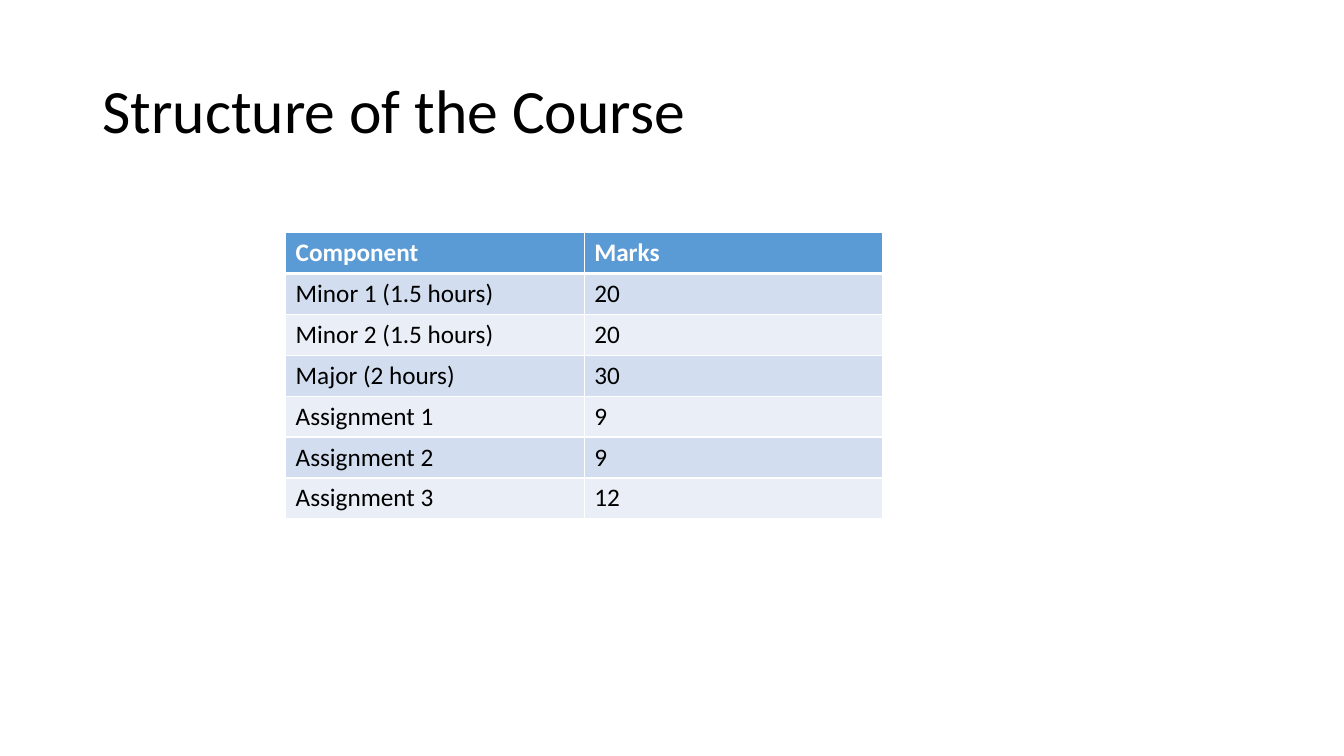
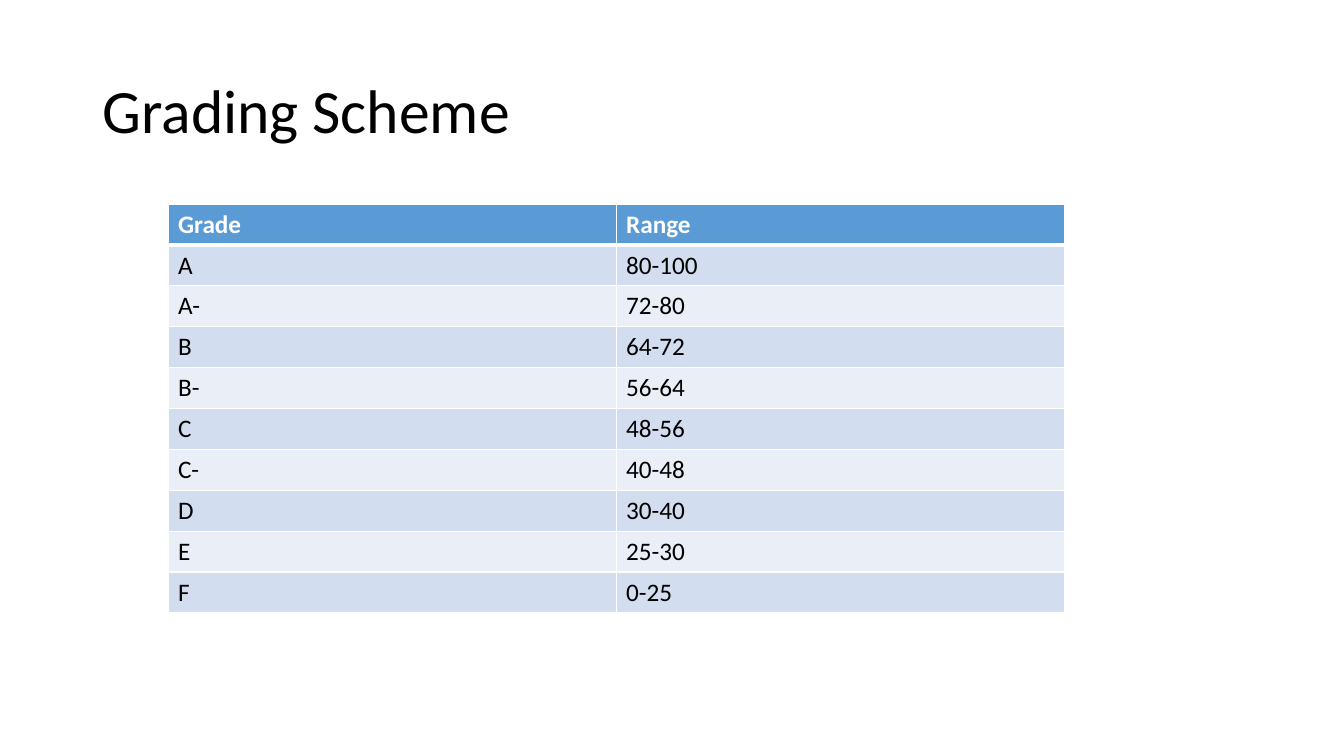
from lxml import etree
from pptx import Presentation
from pptx.dml.color import RGBColor
from pptx.enum.text import MSO_ANCHOR, MSO_AUTO_SIZE, PP_ALIGN
from pptx.oxml.ns import qn
from pptx.util import Inches, Pt

LEFT = PP_ALIGN.LEFT
MIDDLE, TOP = MSO_ANCHOR.MIDDLE, MSO_ANCHOR.TOP
NO_FIT = MSO_AUTO_SIZE.NONE
TITLE_ONLY = 5


def rgb(value):
    return RGBColor.from_string(value)


class Deck:
    """Shared style and the current slide, on a 16 x 9 grid."""
    COLS, ROWS = 16, 9
    FONT = "Calibri"
    TEXT, WHITE, HEADER = "000000", "FFFFFF", "5B9BD5"
    BANDS = ("D2DEEF", "EAEFF7")
    TITLE_BOX = (1.1, 0.48, 13.8, 1.74)
    ROW_HEIGHT = Pt(29.2)

    def __init__(self):
        self.prs = Presentation()
        self.prs.slide_width = Inches(13.33)
        self.prs.slide_height = Inches(7.5)
        self.s = None

    def x(self, cols):
        return int(self.prs.slide_width * cols / self.COLS)

    def y(self, rows):
        return int(self.prs.slide_height * rows / self.ROWS)

    def run(self, p, text, size, color, bold=False):
        r = p.add_run()
        r.text = text
        r.font.name = self.FONT
        r.font.size = Pt(size)
        r.font.bold = bold
        r.font.color.rgb = rgb(color)

    def slide(self, title):
        self.s = self.prs.slides.add_slide(self.prs.slide_layouts[TITLE_ONLY])
        sp = self.s.shapes.title
        left, top, width, height = self.TITLE_BOX
        sp.left, sp.top = self.x(left), self.y(top)
        sp.width, sp.height = self.x(width), self.y(height)
        tf = sp.text_frame
        tf.word_wrap = True
        tf.auto_size = NO_FIT
        tf.vertical_anchor = MIDDLE
        p = tf.paragraphs[0]
        p.alignment = LEFT
        p.line_spacing = 0.9
        self.run(p, title, 44, self.TEXT)

    def borders(self, cell, top, bottom):
        # Border lines come before the fill in the cell properties
        tc_pr = cell._tc.get_or_add_tcPr()
        sides = (("a:lnL", 1), ("a:lnR", 1), ("a:lnT", top), ("a:lnB", bottom))
        for i, (tag, points) in enumerate(sides):
            ln = etree.Element(qn(tag), w=str(Pt(points)))
            fill = etree.SubElement(ln, qn("a:solidFill"))
            etree.SubElement(fill, qn("a:srgbClr"), val=self.WHITE)
            tc_pr.insert(i, ln)

    def table(self, left, top, width, rows):
        n_cols = len(rows[0])
        frame = self.s.shapes.add_table(
            len(rows), n_cols, self.x(left), self.y(top),
            self.x(width), self.ROW_HEIGHT * len(rows))
        table = frame.table
        for column in table.columns:
            column.width = self.x(width / n_cols)
        for i, values in enumerate(rows):
            table.rows[i].height = self.ROW_HEIGHT
            header = i == 0
            for j, text in enumerate(values):
                cell = table.cell(i, j)
                cell.vertical_anchor = TOP
                cell.fill.solid()
                cell.fill.fore_color.rgb = rgb(
                    self.HEADER if header else self.BANDS[(i - 1) % 2])
                # A thick rule separates the header from the body
                self.borders(cell, 3 if i == 1 else 1, 3 if header else 1)
                self.run(cell.text_frame.paragraphs[0], text, 18,
                         self.WHITE if header else self.TEXT, header)


def main():
    deck = Deck()

    # Course components
    deck.slide("Structure of the Course")
    deck.table(3.4, 2.77, 7.11, [
        ("Component", "Marks"),
        ("Minor 1 (1.5 hours)", "20"),
        ("Minor 2 (1.5 hours)", "20"),
        ("Major (2 hours)", "30"),
        ("Assignment 1", "9"),
        ("Assignment 2", "9"),
        ("Assignment 3", "12"),
    ])

    # Grade boundaries
    deck.slide("Grading Scheme")
    deck.table(2, 2.43, 10.67, [
        ("Grade", "Range"),
        ("A", "80-100"),
        ("A-", "72-80"),
        ("B", "64-72"),
        ("B-", "56-64"),
        ("C", "48-56"),
        ("C-", "40-48"),
        ("D", "30-40"),
        ("E", "25-30"),
        ("F", "0-25"),
    ])

    deck.prs.save("out.pptx")


if __name__ == "__main__":
    main()
